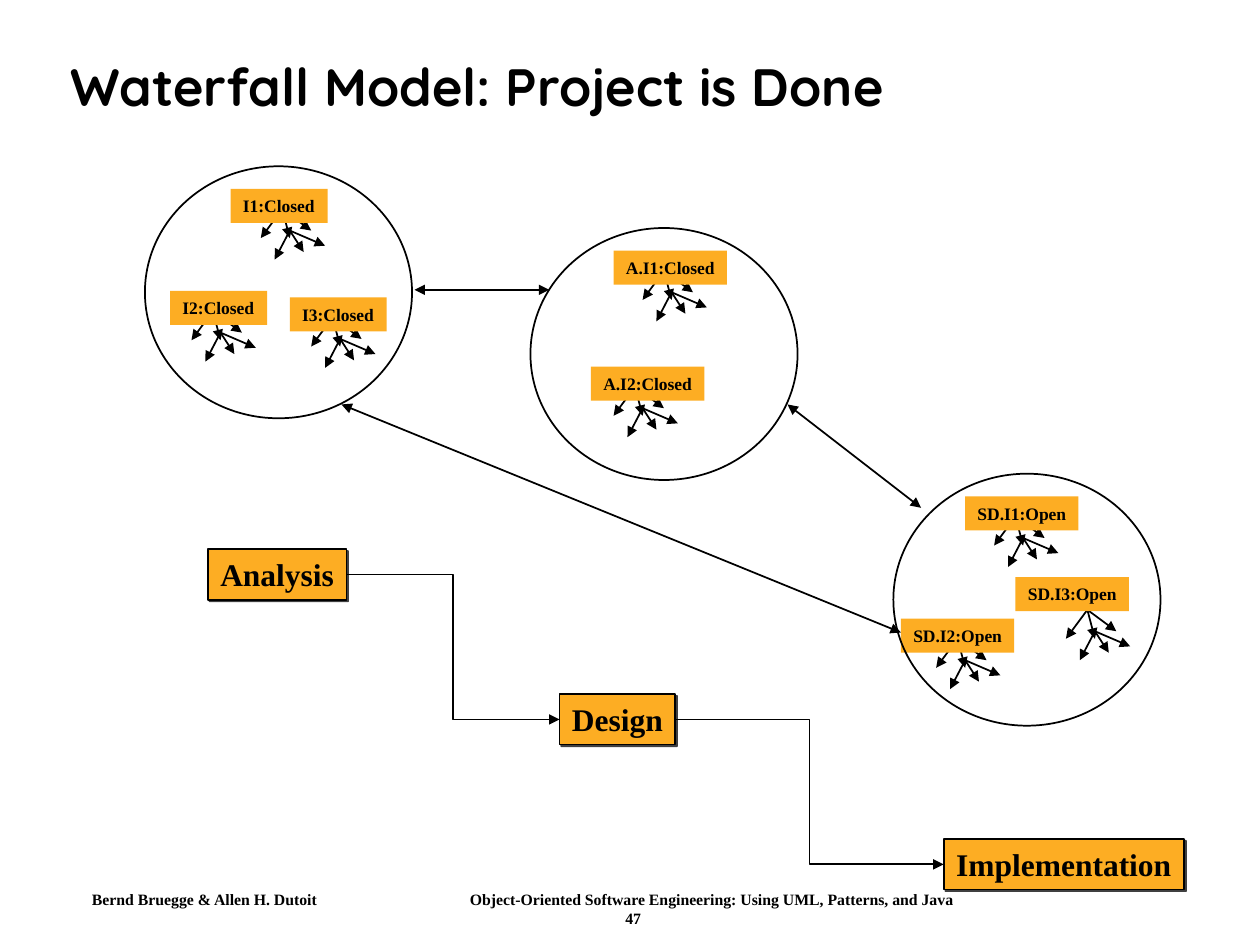
import dataclasses

import lxml.etree
import pptx
import pptx.dml.color
import pptx.enum.shapes
import pptx.enum.text
import pptx.oxml.ns
import pptx.util

Inches = pptx.util.Inches
Pt = pptx.util.Pt
qn = pptx.oxml.ns.qn
RGB = pptx.dml.color.RGBColor
Shape = pptx.enum.shapes.MSO_SHAPE
Connector = pptx.enum.shapes.MSO_CONNECTOR
Align = pptx.enum.text.PP_ALIGN
Anchor = pptx.enum.text.MSO_ANCHOR
AutoSize = pptx.enum.text.MSO_AUTO_SIZE


@dataclasses.dataclass(frozen=True)
class Theme:
    ink: RGB = RGB(0, 0, 0)
    amber: RGB = RGB(0xFD, 0xAD, 0x23)
    heading_font: str = "Quicksand"
    body_font: str = "Times New Roman"
    title_size: int = 30
    phase_size: int = 18
    issue_size: int = 10
    footer_size: int = 9
    line_width: int = 1


def apply(target, values):
    for name, value in values.items():
        setattr(target, name, value)


class SlideBuilder:
    def __init__(self, slide, theme):
        self.slide = slide
        self.theme = theme

    def format_text(self, paragraph, size, font=None, align=Align.LEFT):
        paragraph.alignment = align
        apply(paragraph.font, {"name": font or self.theme.body_font,
                               "size": Pt(size), "bold": True})
        paragraph.font.color.rgb = self.theme.ink

    def outline(self, line):
        line.color.rgb = self.theme.ink
        line.width = Pt(self.theme.line_width)

    def title(self, text, box):
        heading = self.slide.shapes.title
        apply(heading, dict(zip(("left", "top", "width", "height"), map(Inches, box))))
        heading.text_frame.text = text
        apply(heading.text_frame, {"vertical_anchor": Anchor.MIDDLE, "word_wrap": True,
                                   "auto_size": AutoSize.NONE})
        paragraph = heading.text_frame.paragraphs[0]
        paragraph.line_spacing = 0.9
        self.format_text(paragraph, self.theme.title_size, self.theme.heading_font)

    def circle(self, left, top):
        circle = self.slide.shapes.add_shape(
            Shape.OVAL, Inches(left), Inches(top), Inches(2.12), Inches(2))
        circle.shadow.inherit = False
        circle.fill.background()
        self.outline(circle.line)

    def box(self, text, left, top, width, height, size):
        box = self.slide.shapes.add_shape(
            Shape.RECTANGLE, *map(Inches, (left, top, width, height)))
        box.shadow.inherit = False
        box.fill.solid()
        box.fill.fore_color.rgb = self.theme.amber
        box.line.fill.background()
        box.text_frame.text = text
        apply(box.text_frame, {"word_wrap": False, "vertical_anchor": Anchor.TOP,
                               "auto_size": AutoSize.SHAPE_TO_FIT_TEXT})
        self.format_text(box.text_frame.paragraphs[0], size)
        return box

    def phase(self, text, left, top, width):
        box = self.box(text, left, top, width, 0.4, self.theme.phase_size)
        self.outline(box.line)
        effects = box._element.spPr.find(qn("a:effectLst"))
        shadow = lxml.etree.SubElement(effects, qn("a:outerShdw"), dist=str(Pt(1.4)),
                                       dir="2700000", algn="ctr", rotWithShape="0")
        color = lxml.etree.SubElement(shadow, qn("a:srgbClr"), val=str(self.theme.ink))
        lxml.etree.SubElement(color, qn("a:alpha"), val="75000")
        return box

    def arrow(self, start, end, both=False, kind=Connector.STRAIGHT, parent=None):
        shapes = (parent or self.slide).shapes
        arrow = shapes.add_connector(kind, *map(Inches, (*start, *end)))
        self.outline(arrow.line)
        properties = arrow._element.spPr
        for tag in ("a:headEnd", "a:tailEnd") if both else ("a:tailEnd",):
            lxml.etree.SubElement(properties.find(qn("a:ln")), qn(tag), type="triangle")
        lxml.etree.SubElement(properties, qn("a:effectLst"))
        return arrow

    def step(self, earlier, later):
        step = self.arrow((0, 0), (1, 1), kind=Connector.ELBOW)
        step.begin_connect(earlier, 3)
        step.end_connect(later, 1)

    def fan(self, x, y):
        """Six task arrows: three from the root, three from a second hub."""
        fan = self.slide.shapes.add_group_shape()
        hubs = {
            (0, 0): ((0.06, 0.23), (-0.17, 0.23), (0.23, 0.17)),
            (0.06, 0.17): ((-0.06, 0.4), (0.17, 0.34), (0.34, 0.29)),
        }
        for (hub_x, hub_y), tips in hubs.items():
            for tip_x, tip_y in tips:
                self.arrow((x + hub_x, y + hub_y), (x + tip_x, y + tip_y), parent=fan)

    def issue(self, text, left, top, width, root_x, root_y=0.16):
        self.fan(left + root_x, top + root_y)
        self.box(text, left, top, width, 0.27, self.theme.issue_size)

    def footer(self, credit, page, box, tab):
        frame = self.slide.shapes.add_textbox(*map(Inches, box)).text_frame
        apply(frame, {"word_wrap": True, "margin_left": Inches(0.08),
                      "margin_right": Inches(0.08), "margin_top": Inches(0.04),
                      "margin_bottom": Inches(0.04)})
        frame.text = credit
        first = frame.paragraphs[0]
        tabs = lxml.etree.SubElement(first._p.get_or_add_pPr(), qn("a:tabLst"))
        lxml.etree.SubElement(tabs, qn("a:tab"), pos=str(Inches(tab)), algn="l")
        self.format_text(first, self.theme.footer_size)
        number = frame.add_paragraph()
        number.text = page
        self.format_text(number, self.theme.footer_size, align=Align.CENTER)


def main():
    deck = pptx.Presentation()
    deck.slide_width, deck.slide_height = Inches(10), Inches(7.5)
    builder = SlideBuilder(deck.slides.add_slide(deck.slide_layouts[5]), Theme())

    # Title and footer
    builder.title("Waterfall Model: Project is Done", (0.46, 0.24, 8.92, 0.94))
    builder.footer("Bernd Bruegge & Allen H. Dutoit\tObject-Oriented Software "
                   "Engineering: Using UML, Patterns, and Java", "47",
                   (0.65, 7.02, 8.75, 0.36), 3)

    # Issues: text, left, top, width, then the fan root relative to the label
    for issue in (
        ("I1:Closed", 1.83, 1.5, 0.77, 0.41),
        ("I2:Closed", 1.35, 2.31, 0.77, 0.34),
        ("I3:Closed", 2.3, 2.36, 0.77, 0.34),
        ("A.I1:Closed", 4.87, 1.99, 0.9, 0.4),
        ("A.I2:Closed", 4.69, 2.91, 0.9, 0.35),
        ("SD.I1:Open", 7.66, 3.94, 0.9, 0.4),
        ("SD.I2:Open", 7.15, 4.91, 0.9, 0.45),
        ("SD.I3:Open", 8.06, 4.58, 0.9, 0.57, 0.26),
    ):
        builder.issue(*issue)

    # Circle around the issues of each phase
    for corner in ((1.15, 1.32), (4.21, 1.81), (7.09, 3.76)):
        builder.circle(*corner)

    # Phases and the steps between them
    analysis = builder.phase("Analysis", 1.65, 4.36, 1.1)
    design = builder.phase("Design", 4.44, 5.51, 0.92)
    implementation = builder.phase("Implementation", 7.49, 6.66, 1.91)
    builder.step(analysis, design)
    builder.step(design, implementation)

    # Links between the circles
    for start, end in (
        ((3.29, 2.3), (4.36, 2.3)),
        ((6.25, 3.21), (7.31, 4.03)),
        ((7.15, 5.02), (2.71, 3.21)),
    ):
        builder.arrow(start, end, both=True)

    deck.save("out.pptx")


if __name__ == "__main__":
    main()
